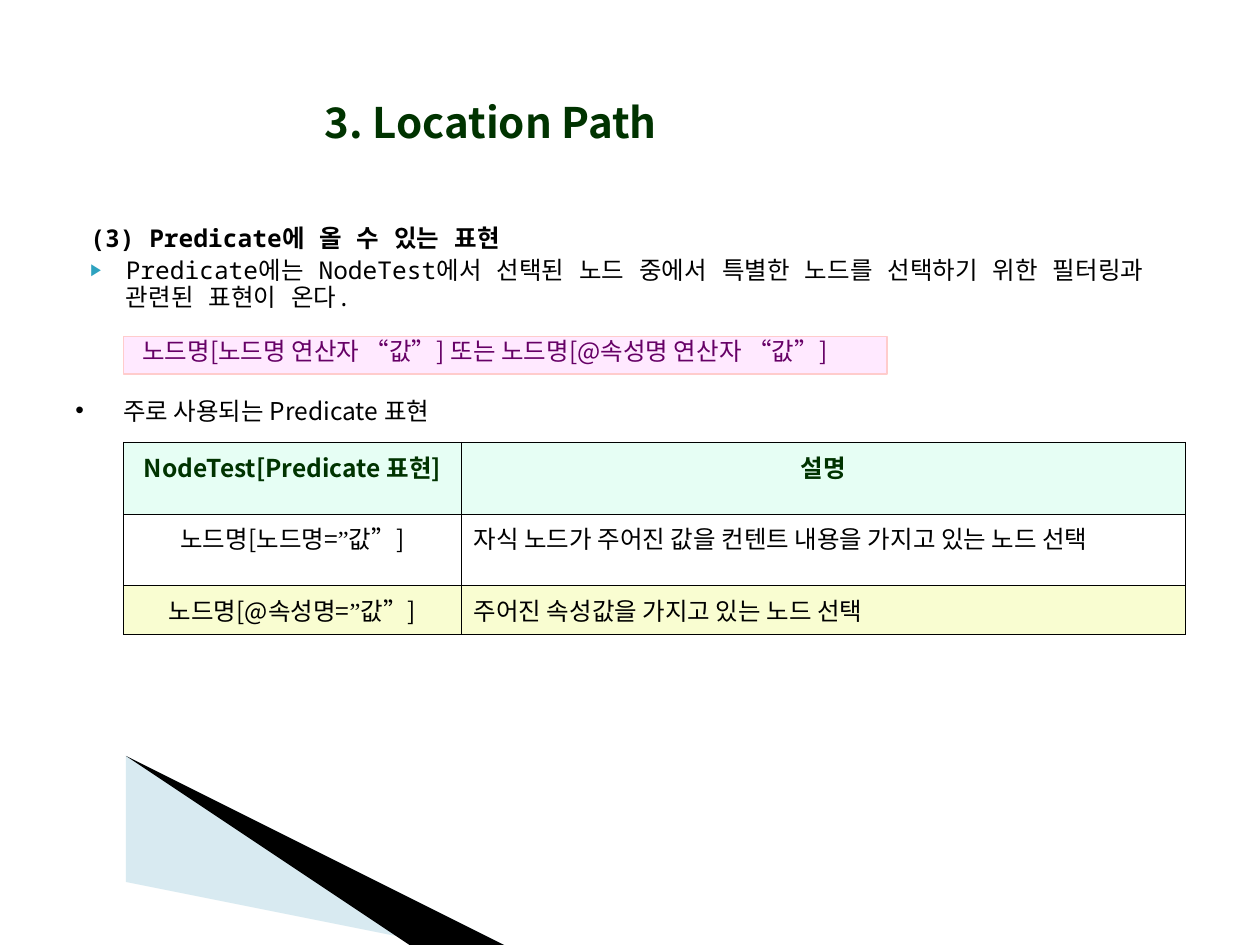
from dataclasses import dataclass

from lxml import etree
from pptx import Presentation
from pptx import util as u
from pptx.dml.color import RGBColor
from pptx.enum import shapes, text
from pptx.oxml import ns

ALIGN = text.PP_ALIGN


@dataclass(frozen=True)
class Theme:
    sans: str = "Noto Sans CJK KR"
    mono: str = "Noto Sans Mono"
    serif: str = "Times New Roman"
    ink: str = "000000"
    green: str = "003300"
    purple: str = "660066"
    teal: str = "2DA2BF"
    pink: str = "FFE9FF"
    edge: str = "FFCCCC"
    mint: str = "E6FEF4"
    cream: str = "F9FDD1"
    sky: str = "9FCBDC"
    head: int = 24
    body: int = 14


def add(parent, tag, **attrs):
    node = etree.SubElement(parent, ns.qn(tag))
    for key, val in attrs.items():
        node.set(key, str(val))
    return node


def paint(fill, color):
    fill.solid()
    fill.fore_color.rgb = RGBColor.from_string(color)


def write(par, runs, face, size, color, bold=False, align=ALIGN.LEFT, before=0,
          line=None, left=0, hang=0, mark=None, tint=None, scale=100, east=None):
    """Fill a paragraph from a string or from (string, face) pairs."""
    par.alignment = align
    par.space_before = u.Pt(before)
    if line:
        par.line_spacing = line
    props = par._p.get_or_add_pPr()
    props.set("marL", str(u.Inches(left)))
    props.set("indent", str(u.Inches(hang)))
    if mark:
        add(add(props, "a:buClr"), "a:srgbClr", val=tint)
        add(props, "a:buSzPct", val=scale * 1000)
        add(props, "a:buFont", typeface="Arial")
        add(props, "a:buChar", char=mark)
    else:
        add(props, "a:buNone")
    for words, name in [(runs, face)] if isinstance(runs, str) else runs:
        run = par.add_run()
        run.text = words
        font = run.font
        font.name, font.size, font.bold = name, u.Pt(size), bold
        font.color.rgb = RGBColor.from_string(color)
        add(run._r.get_or_add_rPr(), "a:ea", typeface=east or face)


class Deck:
    def __init__(self, theme):
        self.theme = theme
        self.file = Presentation()
        self.file.slide_width, self.file.slide_height = u.Inches(10), u.Inches(7.5)
        self.slide = self.file.slides.add_slide(self.file.slide_layouts[5])

    def frame(self, shape, inset=(0.1, 0.05, 0.1, 0.05), anchor=text.MSO_ANCHOR.TOP):
        box = shape.text_frame
        box.word_wrap = True
        box.auto_size = text.MSO_AUTO_SIZE.NONE
        box.vertical_anchor = anchor
        (box.margin_left, box.margin_top,
         box.margin_right, box.margin_bottom) = map(u.Inches, inset)
        return box

    def title(self, words, *spot):
        shape = self.slide.shapes.title
        shape.left, shape.top, shape.width, shape.height = map(u.Inches, spot)
        box = self.frame(shape, anchor=text.MSO_ANCHOR.MIDDLE)
        write(box.paragraphs[0], words, self.theme.sans, self.theme.head,
              self.theme.green, bold=True, align=ALIGN.CENTER)

    def text(self, *spot):
        return self.frame(self.slide.shapes.add_textbox(*map(u.Inches, spot)))

    def panel(self, fill, line, *spot):
        shape = self.slide.shapes.add_shape(
            shapes.MSO_SHAPE.RECTANGLE, *map(u.Inches, spot))
        shape.shadow.inherit = False
        paint(shape.fill, fill)
        paint(shape.line.fill, line)
        shape.line.width = u.Pt(0.75)
        return self.frame(shape, inset=(0.05, 0, 0.05, 0.09))

    def wedge(self, points, color, alpha=100):
        pen = self.slide.shapes.build_freeform(*points[0], scale=u.Inches(1))
        pen.add_line_segments(points[1:], close=True)
        shape = pen.convert_to_shape()
        shape.shadow.inherit = False
        paint(shape.fill, color)
        shape.line.fill.background()
        if alpha < 100:
            tone = shape._element.spPr.find(".//" + ns.qn("a:srgbClr"))
            add(tone, "a:alpha", val=alpha * 1000)

    def cell(self, cell, runs, fill, **style):
        cell.margin_left = cell.margin_right = u.Inches(0.1)
        cell.margin_top = cell.margin_bottom = u.Inches(0.05)
        write(cell.text_frame.paragraphs[0], runs, self.theme.sans,
              self.theme.body, **style)
        props = cell._tc.get_or_add_tcPr()
        for side in ("a:lnL", "a:lnR", "a:lnT", "a:lnB"):
            edge = add(props, side, w=u.Pt(0.45))
            add(add(edge, "a:solidFill"), "a:srgbClr", val=self.theme.ink)
        if fill:
            paint(cell.fill, fill)
        else:
            cell.fill.background()

    def table(self, rows, fills, cols, heights, left, top):
        size = map(u.Inches, (left, top, sum(cols), sum(heights)))
        grid = self.slide.shapes.add_table(len(rows), len(cols), *size).table
        grid.horz_banding = grid.first_row = False
        for col, width in zip(grid.columns, cols):
            col.width = u.Inches(width)
        for i, (row, fill) in enumerate(zip(rows, fills)):
            grid.rows[i].height = u.Inches(heights[i])
            for j, runs in enumerate(row):
                head = i == 0
                self.cell(grid.cell(i, j), runs, fill, bold=head,
                          color=self.theme.green if head else self.theme.ink,
                          align=ALIGN.CENTER if head or j == 0 else ALIGN.LEFT)


def main():
    look = Theme()
    deck = Deck(look)

    # Corner wedges
    deck.wedge([(0.55, 6.51), (5.95, 7.51), (4.56, 7.51), (0.55, 6.5)], look.sky, 40)
    deck.wedge([(0.53, 6.49), (4.57, 7.51), (3.72, 7.52), (0.54, 6.5)], look.ink)

    # Title and introduction
    deck.title("3. Location Path", 1.88, 0.34, 4.03, 1.25)
    intro = deck.text(0.5, 1.75, 9.07, 0.9)
    plain = dict(face=look.mono, size=look.body, color=look.ink, line=0.9,
                 left=0.4, hang=-0.28)
    write(intro.paragraphs[0], "(3) Predicate에 올 수 있는 표현", bold=True, **plain)
    write(intro.add_paragraph(),
          "Predicate에는 NodeTest에서 선택된 노드 중에서 특별한 노드를 "
          "선택하기 위한 필터링과 관련된 표현이 온다.",
          before=3, mark="▶", tint=look.teal, scale=68, **plain)

    # Table of predicate forms
    def form(start):
        return [(start, look.sans), ("”", look.serif), ("값", look.sans),
                ("”", look.serif), ("]", look.sans)]

    rows = [
        ("NodeTest[Predicate 표현]", "설명"),
        (form("노드명[노드명="), "자식 노드가 주어진 값을 컨텐트 내용을 가지고 있는 노드 선택"),
        (form("노드명[@속성명="), "주어진 속성값을 가지고 있는 노드 선택"),
    ]
    deck.table(rows, (look.mint, None, look.cream), (2.68, 5.75),
               (0.57, 0.57, 0.34), 0.98, 3.51)

    # Lead-in to the table
    lead = deck.text(0.5, 3.09, 9.07, 0.35)
    write(lead.paragraphs[0], "주로 사용되는 Predicate 표현", look.sans, look.body,
          look.ink, left=0.38, hang=-0.38, mark="•", tint=look.ink)

    # Syntax panel
    rule = deck.panel(look.pink, look.edge, 0.98, 2.67, 6.06, 0.3)
    write(rule.paragraphs[0],
          "노드명[노드명 연산자 “값”] 또는 노드명[@속성명 연산자 “값”]",
          look.sans, look.body, look.purple, align=ALIGN.JUSTIFY, left=0.1)

    deck.file.save("out.pptx")


if __name__ == "__main__":
    main()
